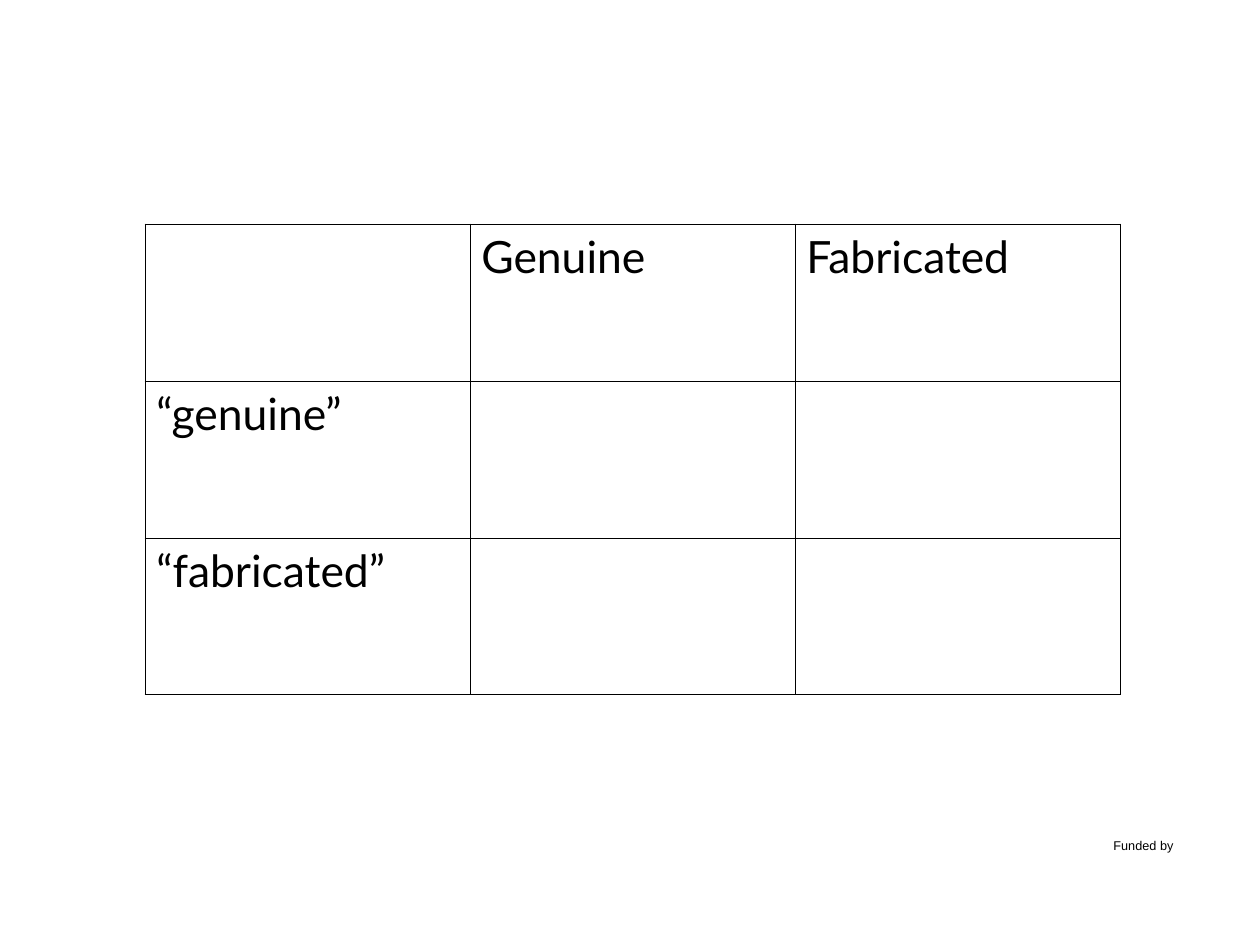
"""Build a slide with a grid of genuine and fabricated labels."""
from lxml.etree import SubElement as Sub
from pptx import Presentation
from pptx.dml.color import RGBColor
from pptx.enum.text import MSO_AUTO_SIZE as Fit, PP_ALIGN as Align
from pptx.oxml.ns import qn
from pptx.util import Emu, Pt

SCALE = 8000
BLACK = RGBColor(0, 0, 0)
WHITE = RGBColor(255, 255, 255)
EDGE = Pt(0.57)
COL, ROW = 325, 157
GRID = [
    ["", "Genuine", "Fabricated"],
    ["“genuine”", "", ""],
    ["“fabricated”", "", ""],
]


def px(num):
    return Emu(num * SCALE)


def add_run(para, text, font, size):
    run = para.add_run()
    run.text = text
    run.font.name = font
    run.font.size = Pt(size)
    run.font.color.rgb = BLACK


def add_edges(cell):
    props = cell._tc.get_or_add_tcPr()
    for spot, side in enumerate("LRTB"):
        line = Sub(props, qn(f"a:ln{side}"), w=str(int(EDGE)))
        fill = Sub(line, qn("a:solidFill"))
        Sub(fill, qn("a:srgbClr"), val=str(BLACK))
        props.insert(spot, line)


def add_grid(slide, left, top, rows):
    high, wide = len(rows), len(rows[0])
    frame = slide.shapes.add_table(
        high, wide, px(left), px(top), px(COL * wide), px(ROW * high))
    table = frame.table
    table.first_row = table.horz_banding = False
    for col in table.columns:
        col.width = px(COL)
    for row, words in zip(table.rows, rows):
        row.height = px(ROW)
        for cell, word in zip(row.cells, words):
            cell.fill.background()
            add_edges(cell)
            if word:
                add_run(cell.text_frame.paragraphs[0], word, "Lato", 28)


def add_label(slide, left, top, wide, high, text):
    box = slide.shapes.add_textbox(px(left), px(top), px(wide), px(high))
    frame = box.text_frame
    frame.word_wrap = True
    frame.auto_size = Fit.SHAPE_TO_FIT_TEXT
    para = frame.paragraphs[0]
    para.alignment = Align.CENTER
    add_run(para, text, "Arial", 8)


def main():
    deck = Presentation()
    deck.slide_width, deck.slide_height = px(1260), px(945)
    slide = deck.slides.add_slide(deck.slide_layouts[6])
    back = slide.background.fill
    back.solid()
    back.fore_color.rgb = WHITE
    add_label(slide, 1052, 832, 183, 25, "Funded by")
    add_grid(slide, 145, 224, GRID)
    deck.save("out.pptx")


if __name__ == "__main__":
    main()
